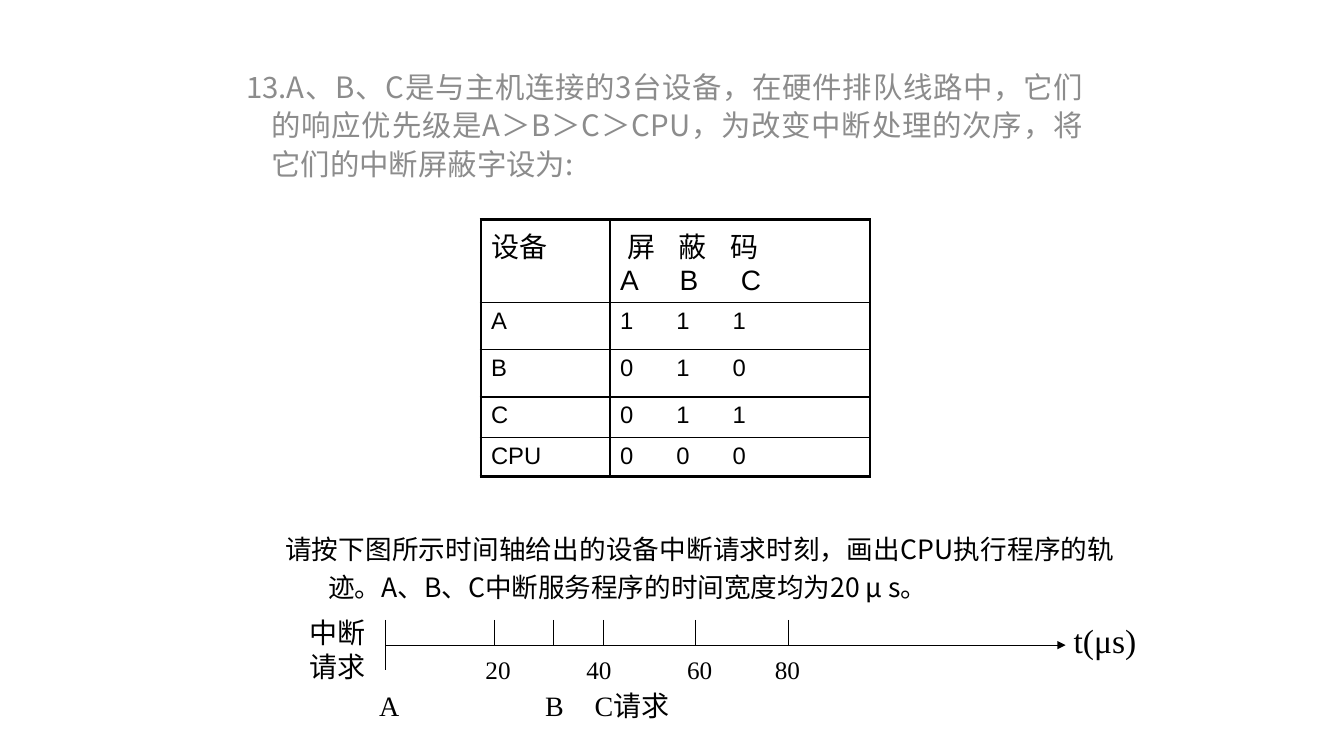
from pptx import Presentation, util as u
from pptx.dml.color import RGBColor
from pptx.enum import shapes, text
from pptx.oxml.ns import qn
from lxml import etree

BLACK = RGBColor(0x00, 0x00, 0x00)
GRAY = RGBColor(0x8C, 0x8C, 0x8C)
SANS, CJK, SERIF = "Arial", "Noto Sans CJK SC", "Times New Roman"
CENTER, LEFT, JUSTIFY = (text.PP_ALIGN.CENTER, text.PP_ALIGN.LEFT,
                         text.PP_ALIGN.JUSTIFY)
QUESTION = ("13.A、B、C是与主机连接的3台设备，在硬件排队线路中，它们的响应优先级是"
            "A＞B＞C＞CPU，为改变中断处理的次序，将它们的中断屏蔽字设为:")
TASK = ("请按下图所示时间轴给出的设备中断请求时刻，画出CPU执行程序的轨迹。"
        "A、B、C中断服务程序的时间宽度均为20 μ s。")
MASKS = {"A": "1 1 1", "B": "0 1 0", "C": "0 1 1", "CPU": "0 0 0"}
COLUMNS = (1.28, 2.58)
ROWS = (0.82, 0.47, 0.47, 0.4, 0.39)


def apply(target, values):
    """Set every attribute named in values on target."""
    for name, value in values.items():
        setattr(target, name, value)


def write(paragraph, words, size, font=CJK, color=BLACK, align=LEFT,
          hanging=0, spacing=1.0, margin=0, tracking=0):
    """Fill one paragraph with formatted text, indents and letter spacing."""
    properties = paragraph._p.get_or_add_pPr()
    properties.set("marL", str(u.Inches(hanging + margin)))
    properties.set("indent", str(u.Inches(-hanging)))
    apply(paragraph, {"alignment": align, "line_spacing": spacing,
                      "space_before": u.Pt(0)})
    run = paragraph.add_run()
    run.text = words
    apply(run.font, {"size": u.Pt(size), "name": font})
    run.font.color.rgb = color
    if tracking:
        run.font._element.set("spc", str(round(tracking * 100)))
    east_asian = etree.Element(qn("a:ea"), typeface=CJK)
    run.font._element.find(qn("a:latin")).addnext(east_asian)


def add_text(slide, box, lines, size, wrap=False, **style):
    """Add a text box with one paragraph per line."""
    shape = slide.shapes.add_textbox(*map(u.Inches, box))
    frame = shape.text_frame
    frame.word_wrap = wrap
    for index, line in enumerate(lines):
        paragraph = frame.add_paragraph() if index else frame.paragraphs[0]
        write(paragraph, line, size, **style)


def add_line(slide, start, end, arrow=False):
    """Add a thin black line, with an arrowhead at its end if asked."""
    line = slide.shapes.add_connector(shapes.MSO_CONNECTOR.STRAIGHT,
                                      *map(u.Inches, start + end))
    line.line.color.rgb = BLACK
    line.line.width = u.Pt(0.75)
    if arrow:
        etree.SubElement(line.line._get_or_add_ln(), qn("a:tailEnd"),
                         type="triangle")
    etree.SubElement(line._element.spPr, qn("a:effectLst"))


def add_question(slide, box):
    """Place the question statement in the body placeholder."""
    title, body = slide.placeholders
    title._element.getparent().remove(title._element)
    apply(body, dict(zip(("left", "top", "width", "height"), map(u.Inches, box))))
    apply(body.text_frame, {"vertical_anchor": text.MSO_ANCHOR.MIDDLE,
                            "auto_size": text.MSO_AUTO_SIZE.NONE,
                            "margin_bottom": u.Inches(0.23),
                            "word_wrap": True})
    write(body.text_frame.paragraphs[0], QUESTION, 21, color=GRAY,
          align=JUSTIFY, hanging=0.25, spacing=1.1)


def set_borders(cell, row, column):
    """Draw thick borders on the table's rim and thin ones inside."""
    properties = cell._tc.get_or_add_tcPr()
    rim = {"lnL": column == 0, "lnR": column == len(COLUMNS) - 1,
           "lnT": row == 0, "lnB": row == len(ROWS) - 1}
    for index, (tag, thick) in enumerate(rim.items()):
        line = etree.Element(qn("a:" + tag), w=str(u.Pt(2.25 if thick else 1)))
        fill = etree.SubElement(line, qn("a:solidFill"))
        etree.SubElement(fill, qn("a:srgbClr"), val=str(BLACK))
        properties.insert(index, line)


def add_mask_table(slide, left, top):
    """Build the table of devices and their mask bits."""
    frame = slide.shapes.add_table(len(ROWS), len(COLUMNS), *map(
        u.Inches, (left, top, sum(COLUMNS), sum(ROWS))))
    table = frame.table
    apply(table, {"first_row": False, "horz_banding": False})
    for column, width in zip(table.columns, COLUMNS):
        column.width = u.Inches(width)
    for row, height in zip(table.rows, ROWS):
        row.height = u.Inches(height)
    for row in range(len(ROWS)):
        for column in range(len(COLUMNS)):
            cell = table.cell(row, column)
            cell.fill.background()
            set_borders(cell, row, column)
    header = table.cell(0, 1).text_frame
    write(table.cell(0, 0).text_frame.paragraphs[0], "设备", 20, SANS)
    write(header.paragraphs[0], "屏 蔽 码", 20, SANS, margin=0.07, tracking=6.2)
    write(header.add_paragraph(), "A B C", 20, SANS, tracking=12.4)
    for row, (device, bits) in enumerate(MASKS.items(), 1):
        write(table.cell(row, 0).text_frame.paragraphs[0], device, 17, SANS)
        write(table.cell(row, 1).text_frame.paragraphs[0], bits, 17, SANS,
              tracking=13)


def add_timeline(slide, left, axis, length):
    """Draw the time axis with its ticks, times and interrupt requests."""
    tick, label_width = 0.25, 1.6
    add_line(slide, (left, axis), (left + length, axis), arrow=True)
    add_line(slide, (left, axis - tick), (left, axis + tick))
    for offset in (1.08, 1.67, 2.17, 3.08, 4):
        add_line(slide, (left + offset, axis - tick), (left + offset, axis))
    times = {"20": 1.12, "40": 2.12, "60": 3.12, "80": 3.99}
    requests = {"A": 0.04, "B": 1.68, "C请求": 2.45}
    for labels, drop, size in ((times, 0.04, 18), (requests, 0.38, 20)):
        for label, offset in labels.items():
            box = (left + offset - label_width / 2, axis + drop, label_width, 0.4)
            add_text(slide, box, [label], size, wrap=True, font=SERIF,
                     align=CENTER)
    add_text(slide, (left - 0.85, axis - 0.34, 0.76, 0.77), ["中断", "请求"], 20)
    add_text(slide, (left + length - 0.02, axis - 0.3, 0.84, 0.5), ["t(μs)"],
             24, font=SERIF)


def main():
    """Build and save the slide."""
    presentation = Presentation()
    apply(presentation, {"slide_width": u.Inches(13.33),
                         "slide_height": u.Inches(7.5)})
    slide = presentation.slides.add_slide(
        presentation.slide_layouts.get_by_name("Section Header"))
    add_question(slide, (2.34, 0.6, 8.5, 1.43))
    add_mask_table(slide, 4.77, 2.18)
    add_text(slide, (2.65, 5.17, 8.5, 0.87), [TASK], 19, wrap=True,
             align=JUSTIFY, hanging=0.43, margin=0.08, spacing=1.2)
    add_timeline(slide, 3.82, 6.4, 6.75)
    presentation.save("out.pptx")


if __name__ == "__main__":
    main()
